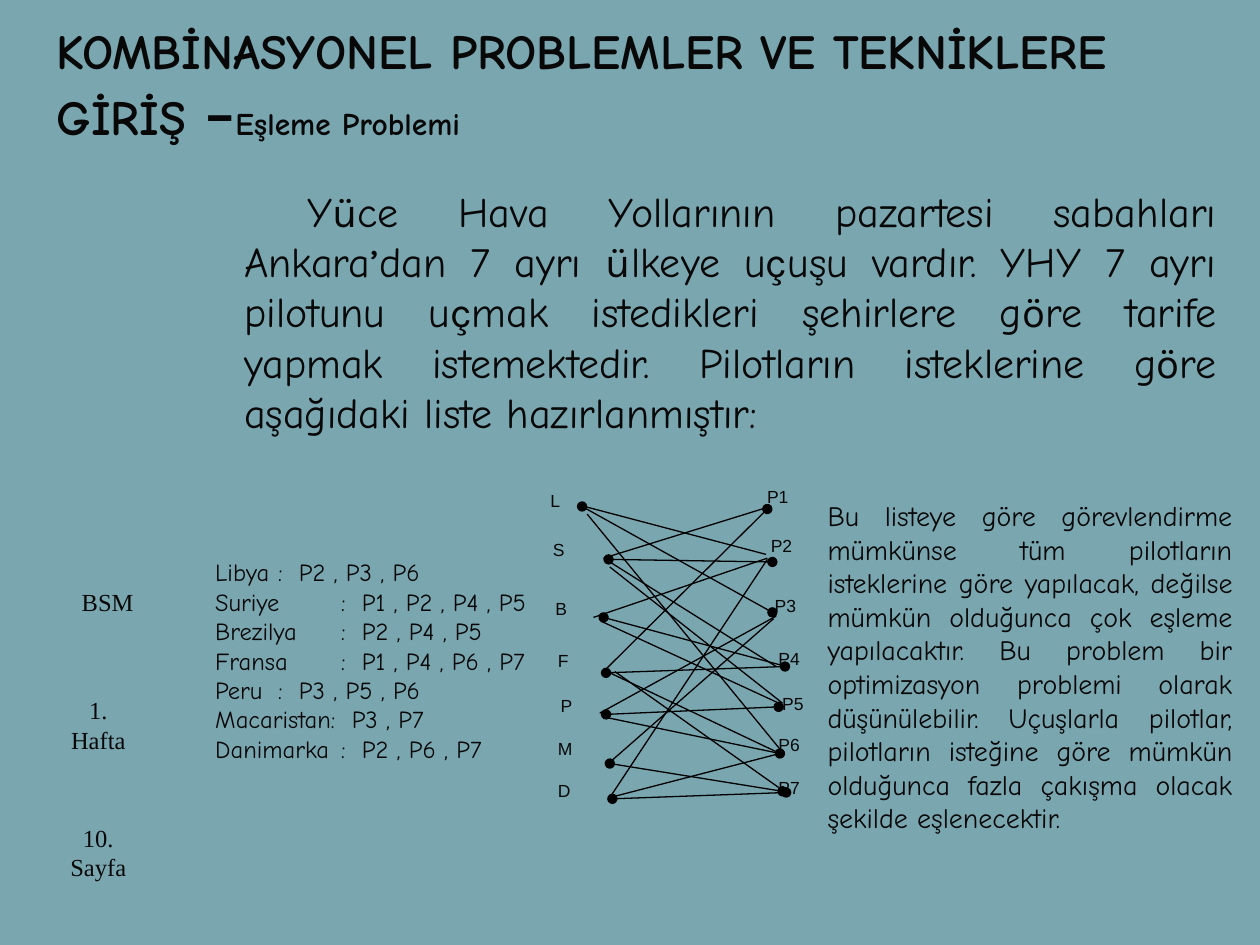
from lxml import etree
from pptx import Presentation
from pptx.dml.color import RGBColor
from pptx.enum import shapes, text
from pptx.oxml.ns import qn
from pptx.util import Inches, Pt

INK = "080808"
COMIC, KARLA, ARIAL, TIMES = "Comic Neue", "Karla", "Arial", "Times New Roman"
LEFT, CENTER, JUSTIFY = text.PP_ALIGN.LEFT, text.PP_ALIGN.CENTER, text.PP_ALIGN.JUSTIFY
TOP, MIDDLE = text.MSO_ANCHOR.TOP, text.MSO_ANCHOR.MIDDLE

TITLE = [  # text, size, font
    ("KOMBİNASYONEL PROBLEMLER VE TEKNİKLERE GİRİŞ", 28, COMIC),
    (" ", 32, COMIC),
    ("–", 32, KARLA),
    ("Eşleme Problemi", 18, COMIC),
]
# Pieces alternate between Comic Neue and Karla
INTRO = [
    "\t\tY", "ü", "ce Hava Yollarının pazartesi sabahları Ankara", "’", "dan 7 ayrı ",
    "ü", "lkeye u", "ç", "uşu vardır. YHY 7 ayrı pilotunu u", "ç",
    "mak istedikleri şehirlere g", "ö",
    "re tarife yapmak istemektedir. Pilotların isteklerine g", "ö",
    "re aşağıdaki liste hazırlanmıştır:",
]
REQUESTS = [
    "Libya\t:  P2 , P3 , P6",
    "Suriye\t:  P1 , P2 , P4 , P5",
    "Brezilya\t:  P2 , P4 , P5",
    "Fransa\t:  P1 , P4 , P6 , P7",
    "Peru\t:  P3 , P5 , P6",
    "Macaristan:  P3 , P7",
    "Danimarka\t:  P2 , P6 , P7",
]
GOAL = ("Bu listeye göre görevlendirme mümkünse tüm pilotların isteklerine göre yapılacak, "
        "değilse mümkün olduğunca çok eşleme yapılacaktır. Bu problem bir optimizasyon "
        "problemi olarak düşünülebilir. Uçuşlarla pilotlar, pilotların isteğine göre mümkün "
        "olduğunca fazla çakışma olacak şekilde eşlenecektir.")
SIDE_NOTES = [  # lines, box, alignment
    (["BSM"], (0.55, 4.61, 0.72, 0.34), LEFT),
    (["1. Hafta"], (0.39, 5.47, 0.78, 0.7), CENTER),
    (["10.", "Sayfa"], (0.39, 6.48, 0.78, 0.62), CENTER),
]
COUNTRY_LABELS = [("L", 4.27, 3.84), ("S", 4.29, 4.23), ("B", 4.31, 4.7), ("F", 4.33, 5.11),
                  ("P", 4.35, 5.47), ("M", 4.33, 5.81), ("D", 4.33, 6.14)]
PILOT_LABELS = [("P1", 5.99, 3.81), ("P2", 6.02, 4.2), ("P3", 6.05, 4.67), ("P4", 6.08, 5.09),
                ("P5", 6.11, 5.45), ("P6", 6.08, 5.78), ("P7", 6.08, 6.12)]
START, END, BOTH = ("headEnd",), ("tailEnd",), ("headEnd", "tailEnd")
EDGES = {  # country: x1, y1, x2, y2, dotted ends
    "L": [(4.64, 4.02, 6.08, 4.4, ()), (4.62, 4.02, 6.13, 4.86, BOTH),
          (4.66, 4.08, 6.21, 5.97, ())],
    "S": [(4.79, 4.43, 6.08, 4.03, ()), (4.83, 4.44, 6.13, 4.46, BOTH),
          (4.84, 4.46, 6.16, 5.29, ()), (4.84, 4.5, 6.21, 5.58, ())],
    "B": [(4.71, 4.9, 6.09, 4.43, ()), (4.79, 4.9, 6.24, 5.29, START),
          (4.77, 4.93, 6.18, 5.58, ())],
    "F": [(4.81, 5.31, 6.09, 4.04, END), (4.81, 5.34, 6.23, 5.29, BOTH),
          (4.84, 5.34, 6.19, 5.98, ()), (4.88, 5.33, 6.18, 6.25, ())],
    "P": [(4.76, 5.66, 6.16, 4.89, ()), (4.81, 5.67, 6.18, 5.61, BOTH),
          (4.79, 5.69, 6.19, 5.98, END)],
    "M": [(4.84, 6.05, 6.14, 4.91, ()), (4.84, 6.06, 6.21, 6.28, BOTH)],
    "D": [(4.84, 6.33, 6.09, 4.44, ()), (4.84, 6.33, 6.19, 5.98, ()),
          (4.86, 6.34, 6.24, 6.29, BOTH)],
}


def rgb(value):
    return RGBColor.from_string(value)


def add_text(s, box, paragraphs, align=LEFT, anchor=TOP, bold=False):
    """Add a text box; each paragraph is a list of (text, size, font) runs."""
    tf = s.shapes.add_textbox(*map(Inches, box)).text_frame
    tf.word_wrap = True
    tf.vertical_anchor = anchor
    for i, runs in enumerate(paragraphs):
        p = tf.paragraphs[0] if i == 0 else tf.add_paragraph()
        p.alignment = align
        for content, size, font in runs:
            r = p.add_run()
            r.text = content
            r.font.size, r.font.name, r.font.bold = Pt(size), font, bold
            r.font.color.rgb = rgb(INK)
    return tf


def add_edge(s, x1, y1, x2, y2, dots):
    c = s.shapes.add_connector(shapes.MSO_CONNECTOR.STRAIGHT,
                               *map(Inches, (x1, y1, x2, y2)))
    c.line.color.rgb = rgb("000000")
    c.line.width = Pt(0.75)
    for end in dots:
        etree.SubElement(c.line._get_or_add_ln(), qn("a:" + end), type="oval")
    etree.SubElement(c._element.spPr, qn("a:effectLst"))


def main():
    prs = Presentation()
    prs.slide_width, prs.slide_height = Inches(10), Inches(7.5)
    s = prs.slides.add_slide(prs.slide_layouts[6])
    s.background.fill.solid()
    s.background.fill.fore_color.rgb = rgb("7AA6B0")

    add_text(s, (0.35, 0.08, 9.39, 1.17), [TITLE], anchor=MIDDLE, bold=True)

    intro = [(piece, 24, (COMIC, KARLA)[i % 2]) for i, piece in enumerate(INTRO)]
    tf = add_text(s, (1.46, 1.42, 8.29, 2.6), [intro], JUSTIFY)
    pPr = tf.paragraphs[0]._p.get_or_add_pPr()
    pPr.set("marL", str(Inches(0.38)))
    pPr.set("indent", str(Inches(-0.38)))

    for labels, width in ((COUNTRY_LABELS, 0.55), (PILOT_LABELS, 0.83)):
        for name, x, y in labels:
            add_text(s, (x, y, width, 0.35), [[(name, 10, ARIAL)]])
    for edges in EDGES.values():
        for edge in edges:
            add_edge(s, *edge)

    add_text(s, (1.61, 4.38, 2.9, 1.72), [[(line, 14, COMIC)] for line in REQUESTS],
             anchor=MIDDLE)
    add_text(s, (6.47, 3.77, 3.41, 3.04), [[(GOAL, 16, COMIC)]], JUSTIFY, MIDDLE)
    for lines, box, align in SIDE_NOTES:
        add_text(s, box, [[(line, 14, TIMES)] for line in lines], align)

    prs.save("out.pptx")


if __name__ == "__main__":
    main()
